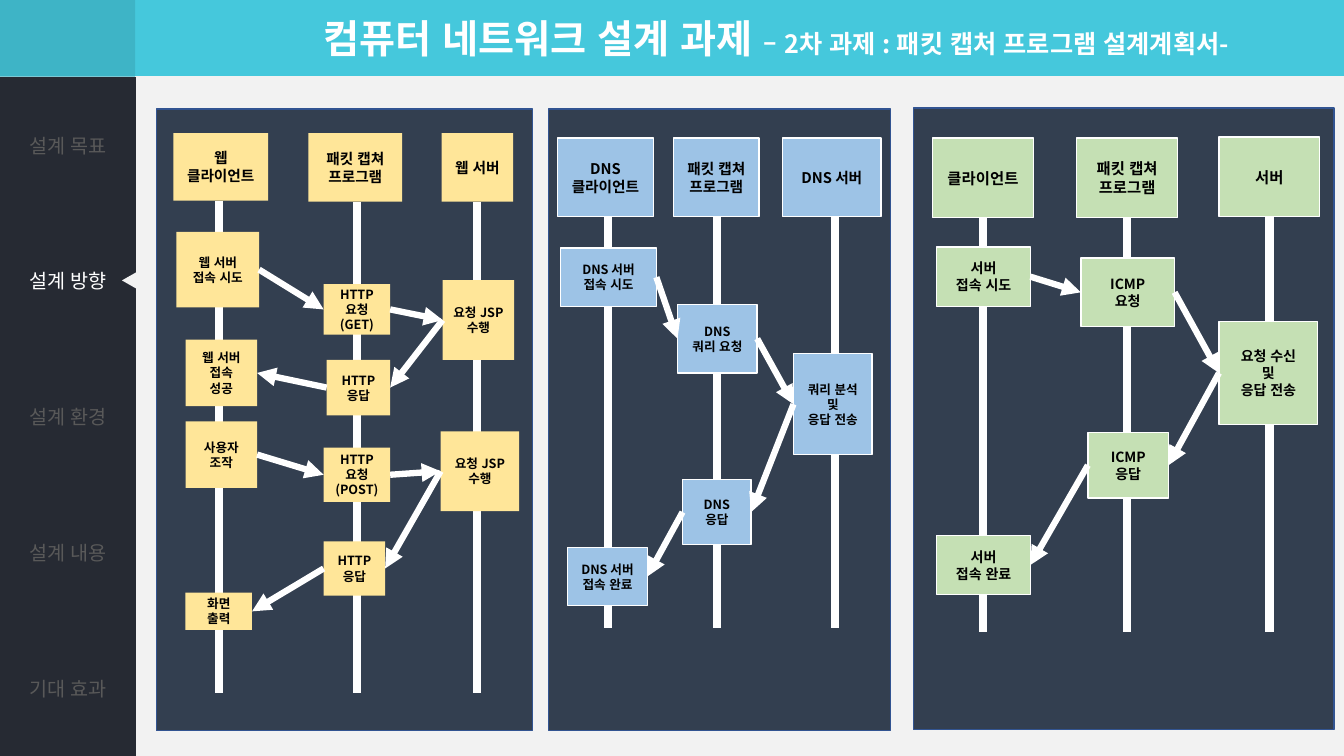
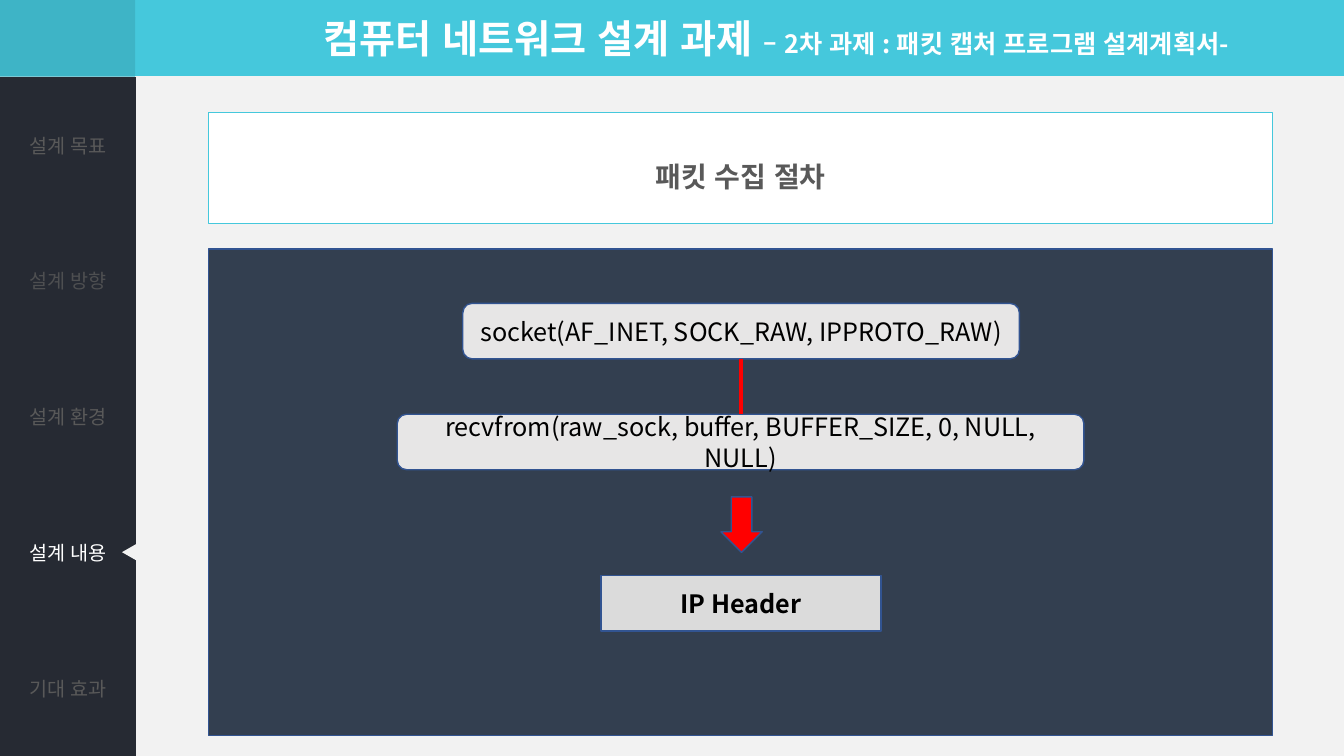
from dataclasses import dataclass
from itertools import pairwise

from lxml import etree
from pptx import Presentation
from pptx.dml.color import RGBColor
from pptx.enum.dml import MSO_FILL
from pptx.enum.lang import MSO_LANGUAGE_ID
from pptx.enum.shapes import MSO_CONNECTOR, MSO_SHAPE
from pptx.enum.text import MSO_ANCHOR, MSO_AUTO_SIZE, PP_ALIGN
from pptx.oxml.ns import qn
from pptx.util import Inches, Pt

RECTANGLE = MSO_SHAPE.RECTANGLE
ROUNDED = MSO_SHAPE.ROUNDED_RECTANGLE
TRIANGLE = MSO_SHAPE.ISOSCELES_TRIANGLE
DOWN_ARROW = MSO_SHAPE.DOWN_ARROW
STRAIGHT = MSO_CONNECTOR.STRAIGHT
MIDDLE = MSO_ANCHOR.MIDDLE
NO_AUTOFIT = MSO_AUTO_SIZE.NONE
LEFT = PP_ALIGN.LEFT
CENTER = PP_ALIGN.CENTER
KOREAN = MSO_LANGUAGE_ID.KOREAN

FONT = "Noto Sans CJK KR"
COLORS = {
    "teal": "45C8DC", "corner": "3EB4C6", "page": "F2F2F2", "menu": "262A33",
    "gray": "595959", "visited": "4E4F51", "white": "FFFFFF", "black": "000000",
    "panel": "333F50", "outline": "325491", "yellow": "FFE699", "blue": "9DC3E6",
    "green": "C5E0B4", "call": "E7E6E6", "header": "DBDBDB", "red": "FF0000",
}
MENU = ("설계 목표", "설계 방향", "설계 환경", "설계 내용", "기대 효과")
MENU_TOP, MENU_WIDTH, ROW_HEIGHT = 0.76, 1.35, 1.348
NO_TABLE_STYLE = "{2D5ABB26-0587-4C30-8999-92F81FD0307C}"
LEFT_SITE, RIGHT_SITE = 1, 3


@dataclass(frozen=True)
class Box:
    """A labelled rectangle, in inches."""
    text: str
    left: float
    top: float
    width: float
    height: float


@dataclass(frozen=True)
class Lane:
    """A participant: its header box and the position of its lifeline."""
    header: Box
    line_x: float


@dataclass(frozen=True)
class Sequence:
    """A sequence diagram: a panel, its lanes and its chains of steps."""
    panel: Box
    color: str
    border: str | None
    header_size: float
    step_size: float
    line_bottom: float
    lanes: tuple[Lane, ...]
    flows: tuple[tuple[Box, ...], ...]


SEQUENCES = (
    Sequence(
        Box("", 1.55, 1.08, 3.73, 6.17), "yellow", None, 10.5, 9, 6.88,
        (Lane(Box("웹\n클라이언트", 1.72, 1.32, 0.94, 0.67), 2.17),
         Lane(Box("패킷 캡쳐\n프로그램", 3.06, 1.32, 0.93, 0.68), 3.54),
         Lane(Box("웹 서버", 4.38, 1.32, 0.71, 0.68), 4.73)),
        ((Box("웹 서버\n접속 시도", 1.75, 2.3, 0.82, 0.75),
          Box("HTTP 요청 (GET)", 3.21, 2.82, 0.66, 0.5),
          Box("요청 JSP 수행", 4.39, 2.78, 0.71, 0.79),
          Box("HTTP 응답", 3.24, 3.57, 0.63, 0.55),
          Box("웹 서버\n접속\n성공", 1.84, 3.37, 0.71, 0.66)),
         (Box("사용자 조작", 1.84, 4.18, 0.71, 0.66),
          Box("HTTP 요청 (POST)", 3.21, 4.44, 0.66, 0.54),
          Box("요청 JSP\n수행", 4.37, 4.28, 0.78, 0.79),
          Box("HTTP 응답", 3.21, 5.37, 0.61, 0.54),
          Box("화면\n출력", 1.84, 5.88, 0.66, 0.37))),
    ),
    Sequence(
        Box("", 5.44, 1.08, 3.39, 6.17), "blue", "white", 10.5, 9, 6.23,
        (Lane(Box("DNS\n클라이언트", 5.53, 1.37, 0.95, 0.78), 6.03),
         Lane(Box("패킷 캡쳐\n프로그램", 6.68, 1.37, 0.85, 0.78), 7.11),
         Lane(Box("DNS 서버", 7.76, 1.37, 0.98, 0.78), 8.28)),
        ((Box("DNS 서버\n접속 시도", 5.56, 2.46, 0.95, 0.58),
          Box("DNS\n쿼리 요청", 6.72, 3.02, 0.79, 0.68),
          Box("쿼리 분석 및\n응답 전송", 7.87, 3.51, 0.78, 1),
          Box("DNS\n응답", 6.77, 4.76, 0.68, 0.64),
          Box("DNS 서버\n접속 완료", 5.63, 5.43, 0.79, 0.58)),),
    ),
    Sequence(
        Box("", 9.06, 1.07, 4.17, 6.17), "green", "white", 11, 10, 6.27,
        (Lane(Box("클라이언트", 9.25, 1.37, 1, 0.79), 9.75),
         Lane(Box("패킷 캡쳐\n프로그램", 10.68, 1.37, 1, 0.79), 11.18),
         Lane(Box("서버", 12.09, 1.36, 1, 0.79), 12.59)),
        ((Box("서버\n접속 시도", 9.29, 2.45, 0.93, 0.59),
          Box("ICMP\n요청", 10.72, 2.56, 0.93, 0.68),
          Box("요청 수신\n및\n응답 전송", 12.09, 3.19, 0.98, 1.02),
          Box("ICMP\n응답", 10.79, 4.29, 0.8, 0.65),
          Box("서버\n접속 완료", 9.29, 5.31, 0.93, 0.59)),),
    ),
)


def rgb(name):
    """Return a palette colour."""
    return RGBColor.from_string(COLORS[name])


def add_run(paragraph, text: str, *, size: float, color: str = "black", bold: bool = False) -> None:
    """Append formatted text to a paragraph."""
    run = paragraph.add_run()
    run.text = text
    font = run.font
    font.size, font.bold, font.name = Pt(size), bold, FONT
    font.language_id = KOREAN
    font.color.rgb = rgb(color)
    etree.SubElement(run._r.rPr, qn("a:ea"), typeface=FONT)


def write_text(frame, text: str, *, spacing: float | None = None, **font) -> None:
    """Write centred paragraphs, one for each line of text."""
    frame.vertical_anchor = MIDDLE
    for index, line in enumerate(text.split("\n")):
        paragraph = frame.add_paragraph() if index else frame.paragraphs[0]
        paragraph.alignment = CENTER
        if spacing:
            paragraph.line_spacing = spacing
        add_run(paragraph, line, **font)


def add_box(slide, box: Box, fill: str, *, kind=RECTANGLE, border: str | None = None,
            border_width: float = 1, **text_format):
    """Draw a filled shape with its text and return it."""
    shape = slide.shapes.add_shape(
        kind, Inches(box.left), Inches(box.top), Inches(box.width), Inches(box.height))
    shape.shadow.inherit = False
    shape.fill.solid()
    shape.fill.fore_color.rgb = rgb(fill)
    if border:
        shape.line.color.rgb = rgb(border)
        shape.line.width = Pt(border_width)
    else:
        shape.line.fill.background()
    if box.text:
        write_text(shape.text_frame, box.text, **text_format)
    return shape


def add_line(slide, start: tuple[float, float], end: tuple[float, float], *,
             color: str = "white", width: float = 6):
    """Draw a straight connector and return it."""
    line = slide.shapes.add_connector(STRAIGHT, *map(Inches, start + end))
    line.line.color.rgb = rgb(color)
    line.line.width = Pt(width)
    etree.SubElement(line._element.spPr, qn("a:effectLst"))
    return line


def add_arrow(slide, source, target) -> None:
    """Join the facing sides of two shapes with an arrow."""
    forward = source.left < target.left
    arrow = add_line(slide, (0, 0), (0, 0), width=4.5)
    arrow.begin_connect(source, RIGHT_SITE if forward else LEFT_SITE)
    arrow.end_connect(target, LEFT_SITE if forward else RIGHT_SITE)
    etree.SubElement(arrow.line._get_or_add_ln(), qn("a:tailEnd"), type="triangle")


def set_background(master) -> None:
    """Give all slides a teal band above a light page."""
    fill = master.background.fill
    if fill.type != MSO_FILL.GRADIENT:
        fill.gradient()
    fill.gradient_angle = 270
    for stop, color in zip(fill.gradient_stops, ("teal", "page")):
        stop.position = 0.1
        stop.color.rgb = rgb(color)


def add_title(slide) -> None:
    """Place and fill the title."""
    title = slide.shapes.title
    title.left, title.top = Inches(3.11), Inches(0.09)
    title.width, title.height = Inches(10.2), Inches(0.57)
    frame = title.text_frame
    frame.auto_size, frame.vertical_anchor, frame.word_wrap = NO_AUTOFIT, MIDDLE, True
    paragraph = frame.paragraphs[0]
    paragraph.alignment = LEFT
    add_run(paragraph, "컴퓨터 네트워크 설계 과제 ", size=28, color="white", bold=True)
    add_run(paragraph, "– 2차 과제 : 패킷 캡처 프로그램 설계계획서-",
            size=18, color="white", bold=True)


def add_menu(slide, active: int, visited: int | None) -> None:
    """Draw the side menu and mark the active entry."""
    frame = slide.shapes.add_table(
        len(MENU), 1, Inches(0), Inches(MENU_TOP),
        Inches(MENU_WIDTH), Inches(ROW_HEIGHT * len(MENU)))
    table = frame.table
    table.first_row = table.horz_banding = False
    table._tbl.tblPr.find(qn("a:tableStyleId")).text = NO_TABLE_STYLE
    tones = {visited: "visited", active: "white"}
    for index, entry in enumerate(MENU):
        table.rows[index].height = Inches(ROW_HEIGHT)
        cell = table.cell(index, 0)
        cell.fill.solid()
        cell.fill.fore_color.rgb = rgb("menu")
        cell.vertical_anchor = MIDDLE
        write_text(cell.text_frame, entry, size=14, color=tones.get(index, "gray"))
    marker_top = MENU_TOP + ROW_HEIGHT * (active + 0.5) - 0.07
    marker = add_box(slide, Box("", 1.2, marker_top, 0.16, 0.14), "page", kind=TRIANGLE)
    marker.rotation = 270


def add_page(presentation, active: int, visited: int | None = None):
    """Add a slide with the shared title, corner and menu."""
    slide = presentation.slides.add_slide(presentation.slide_layouts[5])
    add_title(slide)
    add_box(slide, Box("", 0, 0, 1.34, MENU_TOP), "corner")
    add_menu(slide, active, visited)
    return slide


def add_sequence(slide, sequence: Sequence) -> None:
    """Draw a sequence diagram."""
    add_box(slide, sequence.panel, "panel", border="outline")
    for lane in sequence.lanes:
        header = lane.header
        add_line(slide, (lane.line_x, header.top + header.height),
                 (lane.line_x, sequence.line_bottom))
        add_box(slide, header, sequence.color, border=sequence.border,
                size=sequence.header_size, bold=True)
    for flow in sequence.flows:
        steps = [add_box(slide, step, sequence.color, border=sequence.border,
                         size=sequence.step_size, bold=True) for step in flow]
        for source, target in pairwise(steps):
            add_arrow(slide, source, target)


def build_direction(presentation) -> None:
    """Build the slide with the three sequence diagrams."""
    slide = add_page(presentation, active=1)
    for sequence in SEQUENCES:
        add_sequence(slide, sequence)


def build_procedure(presentation) -> None:
    """Build the slide with the packet collection steps."""
    slide = add_page(presentation, active=3, visited=1)
    add_box(slide, Box("패킷 수집 절차", 2.07, 1.12, 10.55, 1.1), "white", border="teal",
            border_width=0.75, size=20, color="gray", bold=True, spacing=1.5)
    add_box(slide, Box("", 2.07, 2.47, 10.55, 4.83), "panel", border="outline")
    calls = (
        Box("socket(AF_INET, SOCK_RAW, IPPROTO_RAW)", 4.59, 3.01, 5.52, 0.55),
        Box("recvfrom(raw_sock, buffer, BUFFER_SIZE, 0, NULL, NULL)", 3.94, 4.11, 6.81, 0.55),
    )
    for call in calls:
        add_box(slide, call, "call", kind=ROUNDED, border="outline", size=18)
    add_line(slide, (7.35, 3.56), (7.35, 4.11), color="red", width=3)
    add_box(slide, Box("", 7.15, 4.93, 0.41, 0.55), "red", kind=DOWN_ARROW, border="outline")
    add_box(slide, Box("IP Header", 5.96, 5.71, 2.78, 0.55), "header",
            border="outline", size=18, bold=True)


def main() -> None:
    """Build and save the presentation."""
    presentation = Presentation()
    presentation.slide_width, presentation.slide_height = Inches(13.33), Inches(7.5)
    set_background(presentation.slide_master)
    build_direction(presentation)
    build_procedure(presentation)
    presentation.save("out.pptx")


main()
